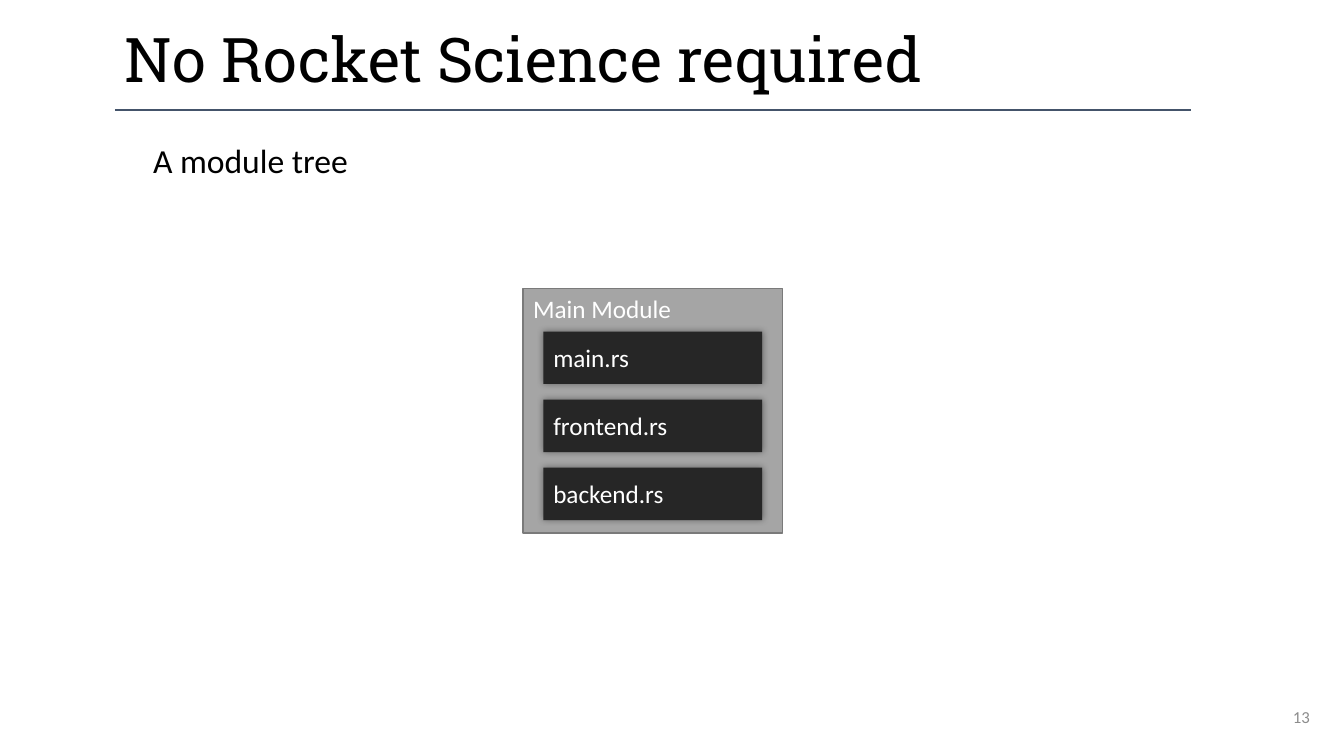
from lxml import etree
from pptx import Presentation, util as u
from pptx.dml.color import RGBColor
from pptx.enum import shapes, text
from pptx.oxml import parse_xml
from pptx.oxml.ns import nsdecls, qn

deck = Presentation()
deck.slide_width, deck.slide_height = u.Inches(13.33), u.Inches(7.5)
col, row = deck.slide_width / 100, deck.slide_height / 100
slide = deck.slides.add_slide(deck.slide_layouts[6])
TOP, MID = text.MSO_ANCHOR.TOP, text.MSO_ANCHOR.MIDDLE


def rgb(code):
    return RGBColor.from_string(code)


def put(words, x, y, w, h, size, color, anchor=MID, font="Calibri", fill=None):
    """Place text at grid columns and rows, in a rectangle if a fill is given."""
    area = [int(n) for n in (x * col, y * row, w * col, h * row)]
    if fill:
        box = slide.shapes.add_shape(shapes.MSO_SHAPE.RECTANGLE, *area)
        box.shadow.inherit = False
        box.fill.solid()
        box.fill.fore_color.rgb = rgb(fill)
        box.line.fill.background()
    else:
        box = slide.shapes.add_textbox(*area)
    frame = box.text_frame
    frame.word_wrap = True
    frame.vertical_anchor = anchor
    para = frame.paragraphs[0]
    para.text = words
    para.alignment = text.PP_ALIGN.LEFT
    para.font.name, para.font.size = font, u.Pt(size)
    para.font.color.rgb = rgb(color)
    return box


# Heading and its rule
left, wide, base = 8.55, 80.05, 14.53
rule = slide.shapes.add_connector(
    shapes.MSO_CONNECTOR.STRAIGHT, int(left * col), int(base * row),
    int((left + wide) * col), int(base * row))
rule.line.color.rgb = rgb("44546A")
rule.line.width = u.Pt(1)
etree.SubElement(rule._element.spPr, qn("a:effectLst"))
title = put("No Rocket Science required", left, 2, wide, base - 2, 44, "000000",
            font="Roboto Slab")
title.text_frame.paragraphs[0].line_spacing = 0.9

page = put("13", 91.75, 92.13, 6.45, 5.33, 12, "8C8C8C")
page.text_frame.paragraphs[0].alignment = text.PP_ALIGN.RIGHT
put("A module tree", 10.65, 17.87, 25.96, 6.67, 24, "000000", TOP)

# Module with its files
module = put("Main Module", 38.93, 38.13, 19.28, 32.4, 18, "FFFFFF", TOP, fill="A5A5A5")
module.line.color.rgb = rgb("7A7A7A")
module.line.width = u.Pt(1)

for i, name in enumerate(["main.rs", "frontend.rs", "backend.rs"]):
    file = put(name, 40.43, 43.87 + 9 * i, 16.28, 6.93, 18, "FFFFFF", fill="262626")
    glow = file._element.spPr.find(qn("a:effectLst"))
    glow.append(parse_xml(
        f'<a:outerShdw {nsdecls("a")} blurRad="{u.Pt(5)}" dist="0" dir="0" algn="ctr">'
        '<a:srgbClr val="000000"><a:alpha val="40000"/></a:srgbClr></a:outerShdw>'))

deck.save("out.pptx")
